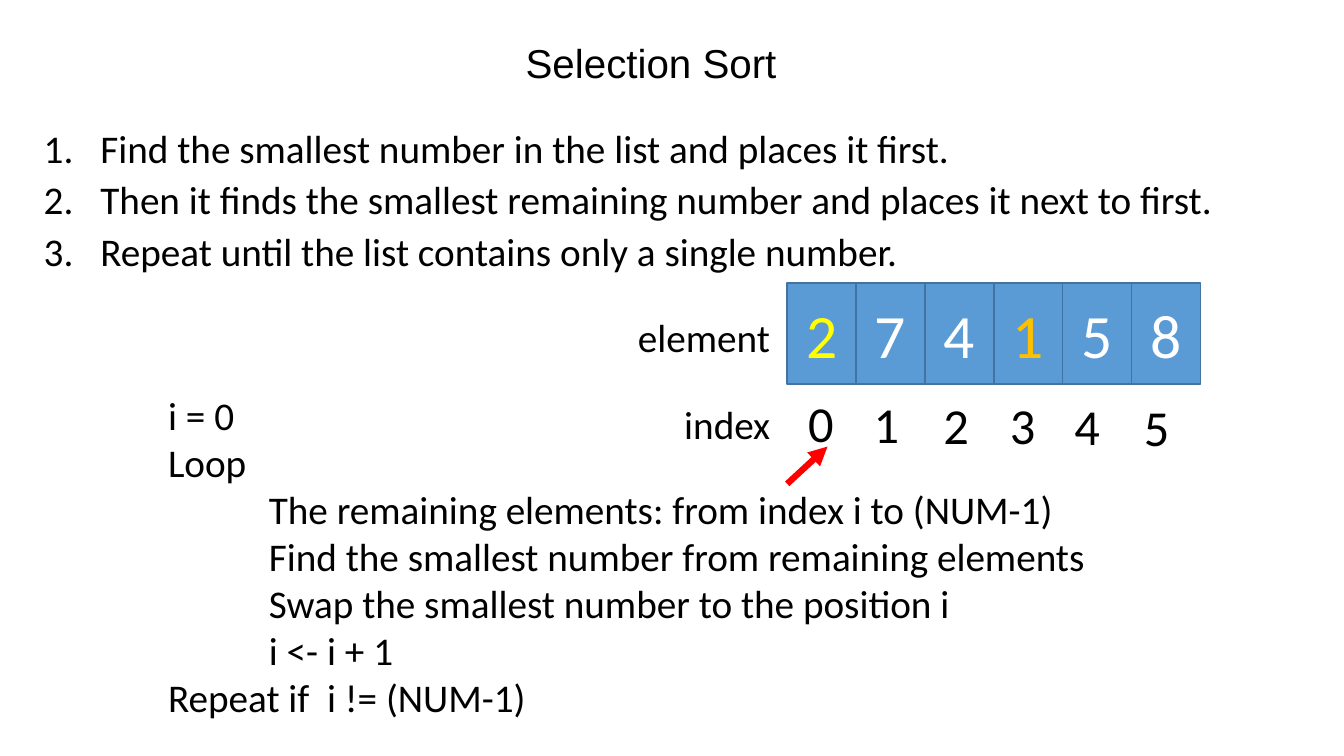
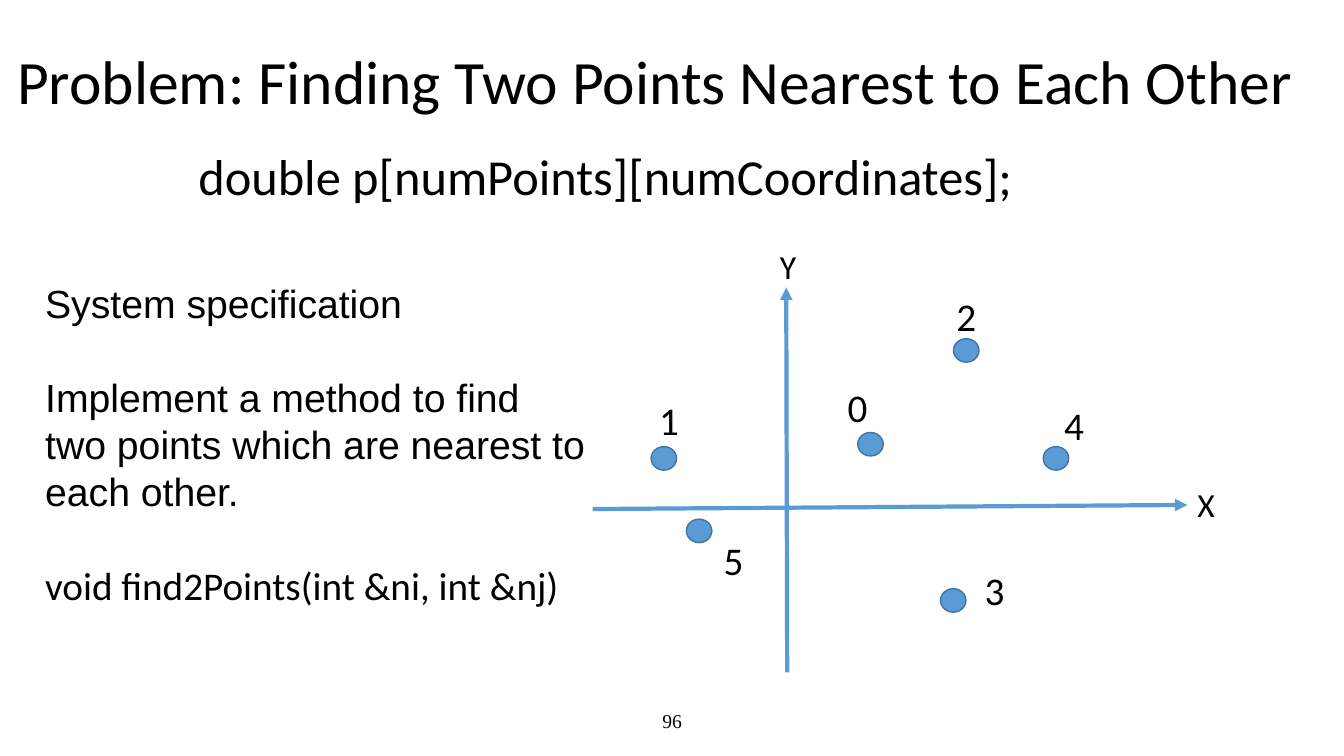
from lxml import etree
from pptx import Presentation
from pptx.dml.color import RGBColor
from pptx.enum import shapes, text
from pptx.oxml import ns
from pptx.util import Pt

BLACK, WHITE, YELLOW, ORANGE, RED = "000000", "FFFFFF", "FFFF00", "FFC000", "FF0000"
BLUE, DARK_BLUE = "5B9BD5", "43739E"
LEFT, CENTER = text.PP_ALIGN.LEFT, text.PP_ALIGN.CENTER
MIDDLE = text.MSO_ANCHOR.MIDDLE
CODE_LINE = Pt(33.6)


def color(value):
    return RGBColor.from_string(value)


def write(paragraph, words, size, font="Calibri", fill=BLACK, align=LEFT):
    paragraph.alignment = align
    run = paragraph.add_run()
    run.text = words
    run.font.name = font
    run.font.size = Pt(size)
    run.font.color.rgb = color(fill)


presentation = Presentation()
presentation.slide_width = Pt(960)
presentation.slide_height = Pt(540)

titles = [
    (1, "Selection Sort", (138.2, 31, 653.8, 31), 28.8, "Arial", CENTER),
    (5, "Problem: Finding Two Points Nearest to Each Other", (5, 18, 955, 84.2), 44, "Calibri", LEFT),
]
slides = []
for layout, words, box, size, font, align in titles:
    slide = presentation.slides.add_slide(presentation.slide_layouts[layout])
    title = slide.shapes.title
    title.left, title.top, title.width, title.height = map(Pt, box)
    frame = title.text_frame
    frame.auto_size = text.MSO_AUTO_SIZE.NONE
    frame.vertical_anchor = MIDDLE
    frame.paragraphs[0].line_spacing = 0.9
    write(frame.paragraphs[0], words, size, font, align=align)
    slides.append(slide)
sort_slide, points_slide = slides

steps = [
    "Find the smallest number in the list and places it first.",
    "Then it finds the smallest remaining number and places it next to first.",
    "Repeat until the list contains only a single number.",
]
body = sort_slide.placeholders[1]
body.left, body.top, body.width, body.height = Pt(24), Pt(91.4), Pt(866), Pt(206)
frame = body.text_frame
frame.auto_size = text.MSO_AUTO_SIZE.NONE
for number, step in enumerate(steps):
    paragraph = frame.paragraphs[0] if number == 0 else frame.add_paragraph()
    properties = paragraph._p.get_or_add_pPr()
    properties.set("marL", str(Pt(40.5)))
    properties.set("indent", str(-Pt(40.5)))
    etree.SubElement(properties, ns.qn("a:buFont"), typeface="Calibri")
    etree.SubElement(properties, ns.qn("a:buAutoNum"), type="arabicPeriod")
    paragraph.line_spacing = 0.8
    paragraph.space_before = Pt(10 if number else 0)
    write(paragraph, step, 28)

pseudocode = [
    (0, "i = 0"),
    (0, "Loop"),
    (72, "The remaining elements: from index i to (NUM-1)"),
    (72, "Find the smallest number from remaining elements"),
    (72, "Swap the smallest number to the position i"),
    (72, "i <- i + 1"),
    (0, "Repeat if  i != (NUM-1)"),
]
frame = sort_slide.shapes.add_textbox(Pt(113), Pt(275.8), Pt(672.5), Pt(245)).text_frame
frame.word_wrap = True
for number, (indent, words) in enumerate(pseudocode):
    paragraph = frame.paragraphs[0] if number == 0 else frame.add_paragraph()
    paragraph._p.get_or_add_pPr().set("marL", str(Pt(indent)))
    paragraph.line_spacing = CODE_LINE
    write(paragraph, words, 28)

cell_width = 49.2
elements = [("2", YELLOW), ("7", WHITE), ("4", WHITE), ("1", ORANGE), ("5", WHITE), ("8", WHITE)]
cells = []
for index, (element, fill) in enumerate(elements):
    cell = sort_slide.shapes.add_shape(
        shapes.MSO_SHAPE.RECTANGLE, Pt(562.3 + index * cell_width), Pt(202.3), Pt(cell_width), Pt(72))
    cell.text_frame.vertical_anchor = MIDDLE
    write(cell.text_frame.paragraphs[0], element, 44, fill=fill, align=CENTER)
    cells.append(cell)

points = [
    (612.7, 308.9, 598.3, 270),
    (465.1, 319, 463.7, 279.4),
    (681.1, 241.9, 676, 205.2),
    (671.8, 420.5, 696.2, 401),
    (745.2, 319, 753.1, 283),
    (490.3, 370.8, 509.8, 379.4),
]
dots = [
    points_slide.shapes.add_shape(shapes.MSO_SHAPE.OVAL, Pt(left), Pt(top), Pt(18.2), Pt(16.8))
    for left, top, label_left, label_top in points
]
for shape in cells + dots:
    shape.shadow.inherit = False
    shape.fill.solid()
    shape.fill.fore_color.rgb = color(BLUE)
    shape.line.color.rgb = color(DARK_BLUE)
    shape.line.width = Pt(1)

labels = [
    (sort_slide, "element", 448.6, 220.3, 109.4, 28),
    (sort_slide, "index", 481.7, 282.2, 76.3, 28),
    (points_slide, "double p[numPoints][numCoordinates];", 134.6, 100, 640, 36),
    (points_slide, "X", 848.2, 342, 30, 24),
    (points_slide, "Y", 550, 172, 30, 24),
]
index_lefts = [570.2, 617, 666.7, 714.2, 760.3, 810]
for index, left in enumerate(index_lefts):
    labels.append((sort_slide, str(index), left, 276.5 + index * 0.6, 34, 36))
for index, point in enumerate(points):
    labels.append((points_slide, str(index), point[2], point[3], 30, 28))
for slide, words, left, top, width, size in labels:
    frame = slide.shapes.add_textbox(Pt(left), Pt(top), Pt(width), Pt(size * 1.2 + 7.2)).text_frame
    frame.word_wrap = True
    write(frame.paragraphs[0], words, size)

specification = [
    ("System specification", "Arial"),
    ("Implement a method to find two points which are nearest to each other.", "Arial"),
    ("void find2Points(int &ni, int &nj)", "Calibri"),
]
frame = points_slide.shapes.add_textbox(Pt(25.2), Pt(195.8), Pt(400.3), Pt(245)).text_frame
frame.word_wrap = True
for number, (words, font) in enumerate(specification):
    paragraph = frame.paragraphs[0] if number == 0 else frame.add_paragraph()
    paragraph.line_spacing = CODE_LINE
    paragraph.space_before = CODE_LINE if number else Pt(0)
    write(paragraph, words, 28, font)

frame = points_slide.shapes.add_textbox(Pt(318.2), Pt(500.4), Pt(324), Pt(28.8)).text_frame
frame.word_wrap = True
frame.vertical_anchor = MIDDLE
write(frame.paragraphs[0], "96", 14, "Times New Roman", align=CENTER)

arrows = [
    (sort_slide, (562.3, 345.6, 591.1, 319), RED, 4.5),
    (points_slide, (423.4, 363.6, 848.2, 360.7), BLUE, 3),
    (points_slide, (562.3, 480.2, 561.6, 205.2), BLUE, 3),
]
for slide, ends, fill, width in arrows:
    arrow = slide.shapes.add_connector(shapes.MSO_CONNECTOR.STRAIGHT, *map(Pt, ends))
    arrow.line.color.rgb = color(fill)
    arrow.line.width = Pt(width)
    etree.SubElement(arrow.line._get_or_add_ln(), ns.qn("a:tailEnd"), type="triangle")
    etree.SubElement(arrow._element.spPr, ns.qn("a:effectLst"))

presentation.save("out.pptx")
